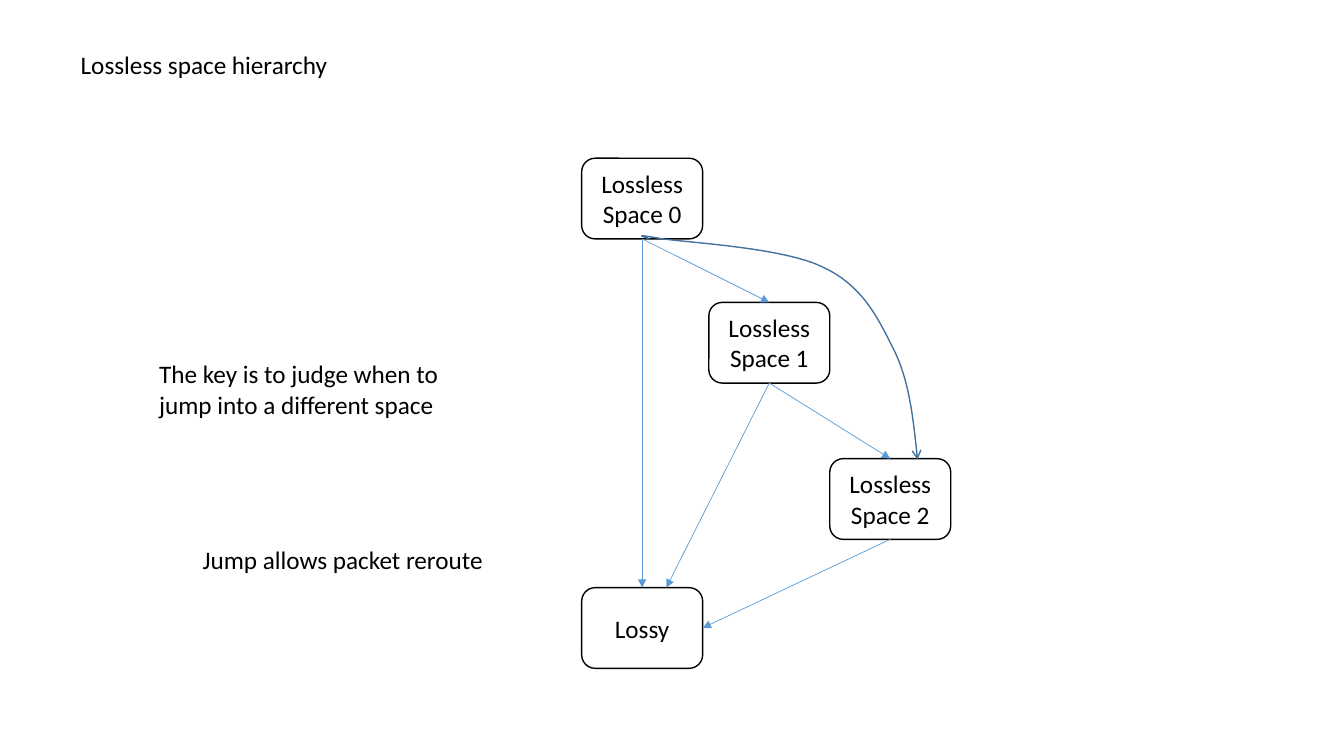
from dataclasses import dataclass

from lxml import etree
from pptx import Presentation
from pptx.dml.color import RGBColor
from pptx.enum.shapes import MSO_CONNECTOR, MSO_SHAPE
from pptx.enum.text import MSO_ANCHOR, MSO_AUTO_SIZE, PP_ALIGN
from pptx.oxml.ns import qn
from pptx.util import Inches, Pt

STRAIGHT = MSO_CONNECTOR.STRAIGHT
ROUNDED = MSO_SHAPE.ROUNDED_RECTANGLE
TOP, MIDDLE = MSO_ANCHOR.TOP, MSO_ANCHOR.MIDDLE
LEFT, CENTER = PP_ALIGN.LEFT, PP_ALIGN.CENTER
FIT_SHAPE, FIXED = MSO_AUTO_SIZE.SHAPE_TO_FIT_TEXT, MSO_AUTO_SIZE.NONE

SLIDE_WIDTH, SLIDE_HEIGHT = 13.33, 7.5
COLUMNS = ROWS = 100
BOX_COLUMNS, BOX_ROWS = 9, 10.67
CURVE_STEPS = 16
BLACK, WHITE, ARROW_BLUE, CURVE_BLUE = "000000", "FFFFFF", "5B9BD5", "43739E"
FONT_FORMAT = {"name": "Calibri", "size": Pt(18), "bold": False}

Point = tuple[float, float]
BOTTOM_PORT, TOP_PORT, RIGHT_PORT = (0.5, 1), (0.5, 0), (1, 0.5)


@dataclass(frozen=True)
class Space:
    text: str
    column: float
    row: float

    def port(self, share: Point) -> Point:
        return self.column + share[0] * BOX_COLUMNS, self.row + share[1] * BOX_ROWS


@dataclass(frozen=True)
class Note:
    text: str
    column: float
    row: float
    columns: float
    rows: float
    wraps: bool


@dataclass(frozen=True)
class Jump:
    source: Space
    target: Space
    target_port: Point


SPACE_0 = Space("Lossless Space 0", 43.28, 20.93)
SPACE_1 = Space("Lossless Space 1", 52.74, 40)
SPACE_2 = Space("Lossless Space 2", 61.74, 60.67)
LOSSY = Space("Lossy", 43.28, 77.73)
SPACES = (SPACE_0, SPACE_1, SPACE_2, LOSSY)

JUMPS = (
    Jump(SPACE_0, LOSSY, TOP_PORT),
    Jump(SPACE_0, SPACE_1, TOP_PORT),
    Jump(SPACE_1, SPACE_2, TOP_PORT),
    Jump(SPACE_2, LOSSY, RIGHT_PORT),
    Jump(SPACE_1, LOSSY, (0.7, 0)),
)

TITLE = Note("Lossless space hierarchy", 5.25, 5.87, 20.48, 5.33, False)
NOTES = (
    Note("The key is to judge when to jump into a different space", 11.1, 46.8, 25.28, 9.47, True),
    Note("Jump allows packet reroute", 14.33, 71.33, 22.58, 5.33, False),
)

CURVE_START = (48.31, 31.6)
CURVE_BENDS = (
    ((47.71, 31.2), (47.11, 30.93), (49.29, 31.6)),
    ((51.46, 32.13), (58.36, 32.8), (61.22, 35.33)),
    ((64.14, 37.73), (65.27, 41.87), (66.47, 46.13)),
    ((67.67, 50.27), (67.97, 55.6), (68.27, 60.8)),
)


def across(columns: float) -> int:
    return Inches(columns * SLIDE_WIDTH / COLUMNS)


def down(rows: float) -> int:
    return Inches(rows * SLIDE_HEIGHT / ROWS)


def color(value: str) -> RGBColor:
    return RGBColor.from_string(value)


def apply_format(target, values: dict) -> None:
    for name, value in values.items():
        setattr(target, name, value)


def write_text(shape, text: str, anchor, alignment, wraps: bool, auto_size) -> None:
    frame = shape.text_frame
    frame.text = text
    apply_format(frame, {"vertical_anchor": anchor, "word_wrap": wraps, "auto_size": auto_size})
    paragraph = frame.paragraphs[0]
    paragraph.alignment = alignment
    font = paragraph.runs[0].font
    apply_format(font, FONT_FORMAT)
    font.color.rgb = color(BLACK)


def style_line(shape, value: str, width: float, arrowhead: str = "") -> None:
    shape.line.color.rgb = color(value)
    shape.line.width = Pt(width)
    if arrowhead:
        line = shape.line._get_or_add_ln()
        etree.SubElement(line, qn("a:tailEnd"), type=arrowhead)


def place_note(shape, note: Note) -> None:
    apply_format(shape, {
        "left": across(note.column),
        "top": down(note.row),
        "width": across(note.columns),
        "height": down(note.rows),
    })
    write_text(shape, note.text, TOP, LEFT, note.wraps, FIT_SHAPE)


def draw_space(slide, space: Space) -> None:
    shape = slide.shapes.add_shape(
        ROUNDED, across(space.column), down(space.row), across(BOX_COLUMNS), down(BOX_ROWS))
    shape.shadow.inherit = False
    shape.fill.solid()
    shape.fill.fore_color.rgb = color(WHITE)
    style_line(shape, BLACK, 1)
    write_text(shape, space.text, MIDDLE, CENTER, True, FIXED)


def draw_jump(slide, jump: Jump) -> None:
    start = jump.source.port(BOTTOM_PORT)
    end = jump.target.port(jump.target_port)
    connector = slide.shapes.add_connector(
        STRAIGHT, across(start[0]), down(start[1]), across(end[0]), down(end[1]))
    style_line(connector, ARROW_BLUE, 0.5, "triangle")
    etree.SubElement(connector._element.spPr, qn("a:effectLst"))


def bend_point(corners: tuple[Point, ...], share: float) -> Point:
    rest = 1 - share
    weights = (rest**3, 3 * rest**2 * share, 3 * rest * share**2, share**3)
    column, row = (
        sum(weight * corner[axis] for weight, corner in zip(weights, corners))
        for axis in (0, 1))
    return column, row


def draw_curve(slide) -> None:
    points = [CURVE_START]
    for bend in CURVE_BENDS:
        corners = (points[-1], *bend)
        points += [bend_point(corners, step / CURVE_STEPS) for step in range(1, CURVE_STEPS + 1)]
    vertices = [(across(column), down(row)) for column, row in points]
    builder = slide.shapes.build_freeform(*vertices[0])
    builder.add_line_segments(vertices[1:], close=False)
    curve = builder.convert_to_shape()
    curve.shadow.inherit = False
    curve.fill.background()
    style_line(curve, CURVE_BLUE, 1, "arrow")


def main() -> None:
    presentation = Presentation()
    presentation.slide_width = Inches(SLIDE_WIDTH)
    presentation.slide_height = Inches(SLIDE_HEIGHT)
    slide = presentation.slides.add_slide(presentation.slide_layouts.get_by_name("Title Only"))
    place_note(slide.shapes.title, TITLE)
    for space in SPACES:
        draw_space(slide, space)
    for jump in JUMPS:
        draw_jump(slide, jump)
    draw_curve(slide)
    for note in NOTES:
        place_note(slide.shapes.add_textbox(0, 0, 0, 0), note)
    presentation.save("out.pptx")


if __name__ == "__main__":
    main()
